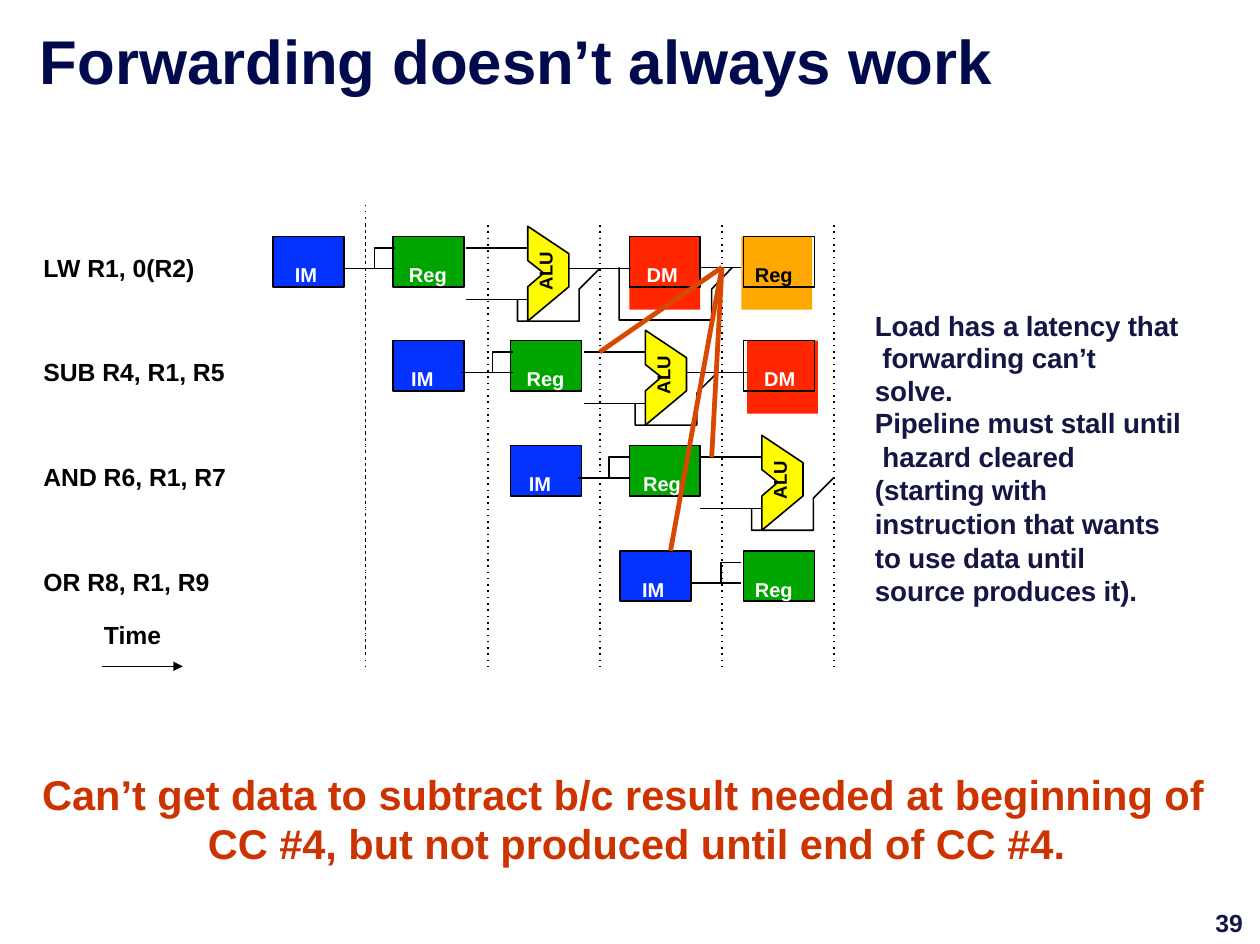
from dataclasses import dataclass
from typing import Optional

from lxml.etree import SubElement
from pptx import Presentation
from pptx.dml.color import RGBColor
from pptx.enum.shapes import MSO_CONNECTOR, MSO_SHAPE
from pptx.enum.text import MSO_ANCHOR, PP_ALIGN
from pptx.oxml.ns import qn
from pptx.util import Inches, Pt

BLACK, WHITE, NAVY = "000000", "FFFFFF", "161645"
BLUE, GREEN, RED, AMBER, YELLOW = "0433FF", "00A500", "FF2600", "FFA900", "FFFB00"
HAZARD, CAPTION, TITLE = "D84800", "CC3300", "000A4D"
CELL_WIDTH, CELL_HEIGHT, BACKDROP_HEIGHT = 0.62, 0.44, 0.64
UPPER_WIRE, MIDDLE_WIRE, LOWER_WIRE, LOOP_BOTTOM = 0.1, 0.28, 0.55, 0.74

Point = tuple[float, float]


@dataclass
class Stage:
    name: str
    left: float
    indent: float
    fill: Optional[str]
    ink: str = WHITE
    backdrop_left: float = 0
    backdrop: Optional[str] = None


@dataclass
class Instruction:
    code: str
    top: float
    register_input: float
    stages: list[Stage]
    alu_left: Optional[float] = None
    has_memory: bool = False


@dataclass
class Note:
    text: str
    left: float
    top: float
    width: float
    height: float
    size: float
    color: str
    inset: float = 0.01
    line_spacing: Optional[float] = None
    space_before: float = 0
    tracking: int = 0
    hanging: float = 0


INSTRUCTIONS = [
    Instruction("LW R1, 0(R2)", 2.07, 3.46, [
        Stage("IM", 2.39, 0.19, BLUE),
        Stage("Reg", 3.44, 0.14, GREEN),
        Stage("DM", 5.51, 0.15, None, WHITE, 5.51, RED),
        Stage("Reg", 6.51, 0.1, None, BLACK, 6.49, AMBER)], 4.62, True),
    Instruction("SUB R4, R1, R5", 2.98, 4.49, [
        Stage("IM", 3.44, 0.16, BLUE),
        Stage("Reg", 4.47, 0.14, GREEN),
        Stage("DM", 6.51, 0.18, None, WHITE, 6.54, RED)], 5.65, True),
    Instruction("AND R6, R1, R7", 3.9, 5.51, [
        Stage("IM", 4.47, 0.16, BLUE),
        Stage("Reg", 5.51, 0.12, GREEN)], 6.67),
    Instruction("OR R8, R1, R9", 4.82, 6.49, [
        Stage("IM", 5.43, 0.19, BLUE),
        Stage("Reg", 6.51, 0.1, GREEN)]),
]
NOTES = [
    Note("Forwarding doesn’t always work", 0.34, 0.19, 9, 0.68, 38.9, TITLE, space_before=1),
    Note("Time", 0.9, 5.41, 0.7, 0.28, 15.6, BLACK, space_before=1),
    Note("Can’t get data to subtract b/c result needed at beginning of\vCC #4, but not "
         "produced until end of CC #4.", 0.36, 6.7, 10.6, 0.9, 26.2, CAPTION, 0.03,
         Pt(31.1), 2.3, hanging=1.45),
    Note("39", 10.63, 7.98, 0.33, 0.22, 15.6, NAVY, 0, Pt(16)),
    Note("Load has a latency that\v forwarding can’t\vsolve.",
         7.65, 2.68, 3, 0.9, 17.5, NAVY, 0.03, Pt(20.4), 2.1, -10),
    Note("Pipeline must stall until\v hazard cleared\v(starting with\vinstruction that wants"
         "\vto use data until\vsource produces it).",
         7.65, 3.54, 3, 1.8, 17.5, NAVY, 0.01, 1.01, 0.8, -10),
]
CYCLE_LINES = [(3.2, 1.79, 5.74)] + [(x, 1.97, 5.83) for x in (3.2, 4.27, 5.25, 6.32, 7.3)]
LOADED_DATA = (6.32, 2.34)
HAZARD_ENDS = [(5.25, 3.08), (6.23, 4), (5.87, 4.82)]

deck = Presentation()
deck.slide_width, deck.slide_height = Inches(11.03), Inches(8.26)
slide = deck.slides.add_slide(deck.slide_layouts[6])
shapes = slide.shapes


def rgb(color: str) -> RGBColor:
    return RGBColor.from_string(color)


def write(shape, text: str, size: float, color: str, left: float = 0, top: float = 0,
          tracking: int = 0):
    frame = shape.text_frame
    frame.word_wrap = True
    frame.vertical_anchor = MSO_ANCHOR.TOP
    frame.margin_left, frame.margin_top = Inches(left), Inches(top)
    frame.margin_right = frame.margin_bottom = 0
    frame.text = text
    paragraph = frame.paragraphs[0]
    paragraph.alignment = PP_ALIGN.LEFT
    for run in paragraph.runs:
        run.font.name, run.font.size, run.font.bold = "Arial", Pt(size), True
        run.font.color.rgb = rgb(color)
        if tracking:
            run.font._element.set("spc", str(tracking))
    return paragraph


def paint(shape, fill: Optional[str], outline: Optional[str]) -> None:
    shape.shadow.inherit = False
    if fill:
        shape.fill.solid()
        shape.fill.fore_color.rgb = rgb(fill)
    else:
        shape.fill.background()
    if outline:
        shape.line.color.rgb = rgb(outline)
        shape.line.width = Pt(1)
    else:
        shape.line.fill.background()


def add_box(left: float, top: float, height: float, fill: Optional[str], outline: Optional[str]):
    box = shapes.add_shape(MSO_SHAPE.RECTANGLE, Inches(left), Inches(top),
                           Inches(CELL_WIDTH), Inches(height))
    paint(box, fill, outline)
    return box


def add_outline(points: list[Point], fill: Optional[str] = None) -> None:
    corners = [(Inches(x), Inches(y)) for x, y in points]
    builder = shapes.build_freeform(*corners[0])
    builder.add_line_segments(corners[1:], close=fill is not None)
    paint(builder.convert_to_shape(), fill, BLACK)


def add_wire(start: Point, end: Point, color: str = BLACK, width: float = 1,
             dotted: bool = False, arrow: bool = False) -> None:
    wire = shapes.add_connector(MSO_CONNECTOR.STRAIGHT, *map(Inches, start + end))
    wire.line.color.rgb = rgb(color)
    wire.line.width = Pt(width)
    properties = wire._element.spPr
    stroke = properties.get_or_add_ln()
    if dotted:
        SubElement(stroke, qn("a:prstDash")).set("val", "dot")
    if arrow:
        SubElement(stroke, qn("a:tailEnd")).set("type", "triangle")
    SubElement(properties, qn("a:effectLst"))


def add_note(note: Note) -> None:
    area = shapes.add_textbox(*map(Inches, (note.left, note.top, note.width, note.height)))
    paragraph = write(area, note.text, note.size, note.color, 0.01, note.inset, note.tracking)
    paragraph.space_before = Pt(note.space_before)
    if note.line_spacing:
        paragraph.line_spacing = note.line_spacing
    if note.hanging:
        layout = paragraph._p.get_or_add_pPr()
        layout.set("marL", str(Inches(note.hanging)))
        layout.set("indent", str(-Inches(note.hanging)))


def add_alu(left: float, top: float, has_memory: bool) -> None:
    outline = [(0, -0.09), (0, 0.21), (0.14, 0.32), (0, 0.44),
               (0, 0.74), (0.36, 0.44), (0.36, 0.15)]
    loop = [(-0.09, LOWER_WIRE), (-0.09, LOOP_BOTTOM), (0.45, LOOP_BOTTOM),
            (0.45, 0.46), (0.63, MIDDLE_WIRE)]
    add_outline([(left + x, top + y) for x, y in outline], YELLOW)
    label = shapes.add_textbox(*map(Inches, (left + 0.08, top + 0.11, 0.17, 0.36)))
    write(label, "ALU", 11.7, BLACK).line_spacing = Pt(12.3)
    label.text_frame._txBody.bodyPr.set("vert", "vert270")
    for wire in (UPPER_WIRE, LOWER_WIRE):
        add_wire((left - 0.54, top + wire), (left, top + wire))
    if has_memory:
        add_wire((left + 0.36, top + MIDDLE_WIRE), (left + 0.9, top + MIDDLE_WIRE))
    add_outline([(left + x, top + y) for x, y in loop])


def add_instruction(instruction: Instruction) -> None:
    top, entry = instruction.top, instruction.register_input
    add_note(Note(instruction.code, 0.37, top + 0.13, 1.8, 0.28, 15.6, BLACK, space_before=1))
    for stage in instruction.stages:
        if stage.backdrop:
            add_box(stage.backdrop_left, top, BACKDROP_HEIGHT, stage.backdrop, None)
        cell = add_box(stage.left, top, CELL_HEIGHT, stage.fill, BLACK)
        write(cell, stage.name, 12.6, stage.ink, stage.indent, 0.23)
    middle, upper = top + MIDDLE_WIRE, top + UPPER_WIRE
    add_wire((entry - 0.45, middle), (entry, middle))
    add_outline([(entry - 0.18, middle), (entry - 0.18, upper), (entry, upper)])
    if instruction.alu_left:
        add_alu(instruction.alu_left, top, instruction.has_memory)


for instruction in INSTRUCTIONS:
    add_instruction(instruction)
add_wire((6.14, 2.34), (6.49, 2.34))
add_outline([(5.42, 2.34), (5.42, 2.8), (6.23, 2.8), (6.23, 2.53), (6.41, 2.34)])
for x, start, end in CYCLE_LINES:
    add_wire((x, start), (x, end), dotted=True)
add_wire((0.89, 5.83), (1.6, 5.83), arrow=True)
for hazard_end in HAZARD_ENDS:
    add_wire(LOADED_DATA, hazard_end, HAZARD, 3)
for note in NOTES:
    add_note(note)

deck.save("out.pptx")
